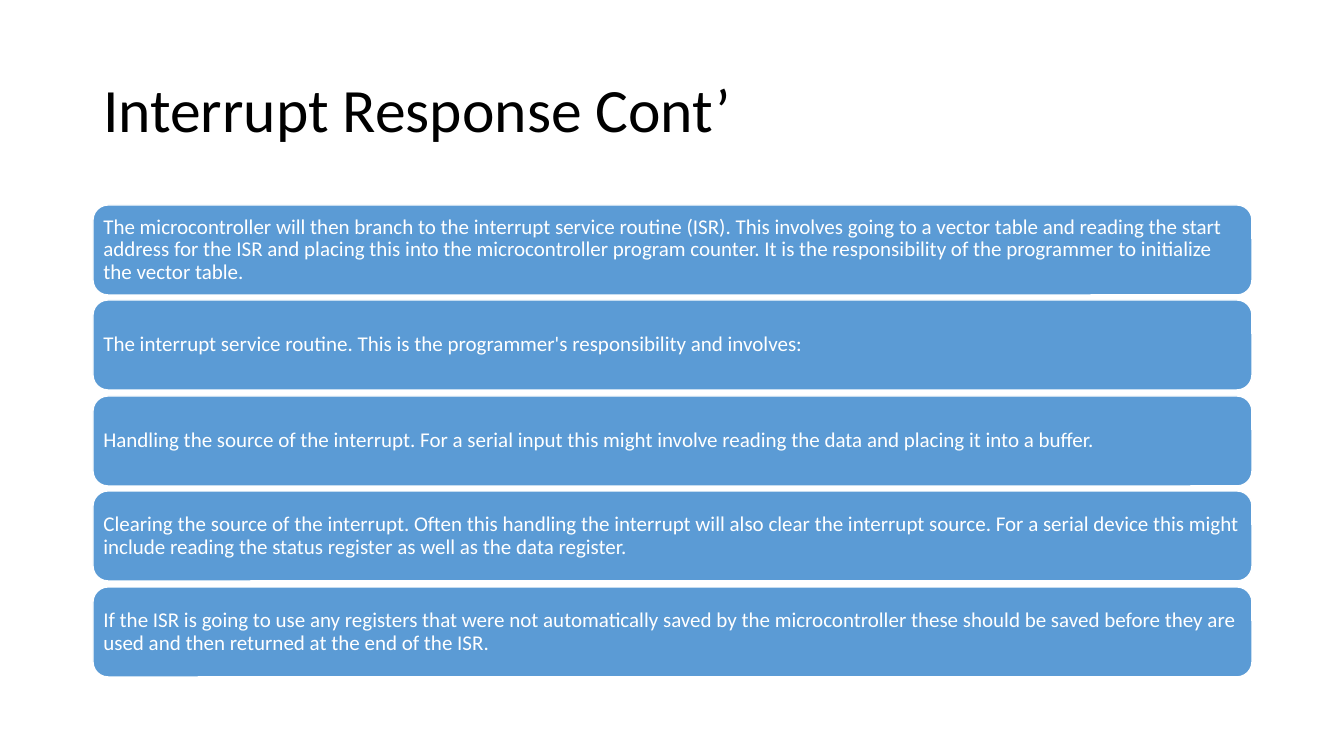
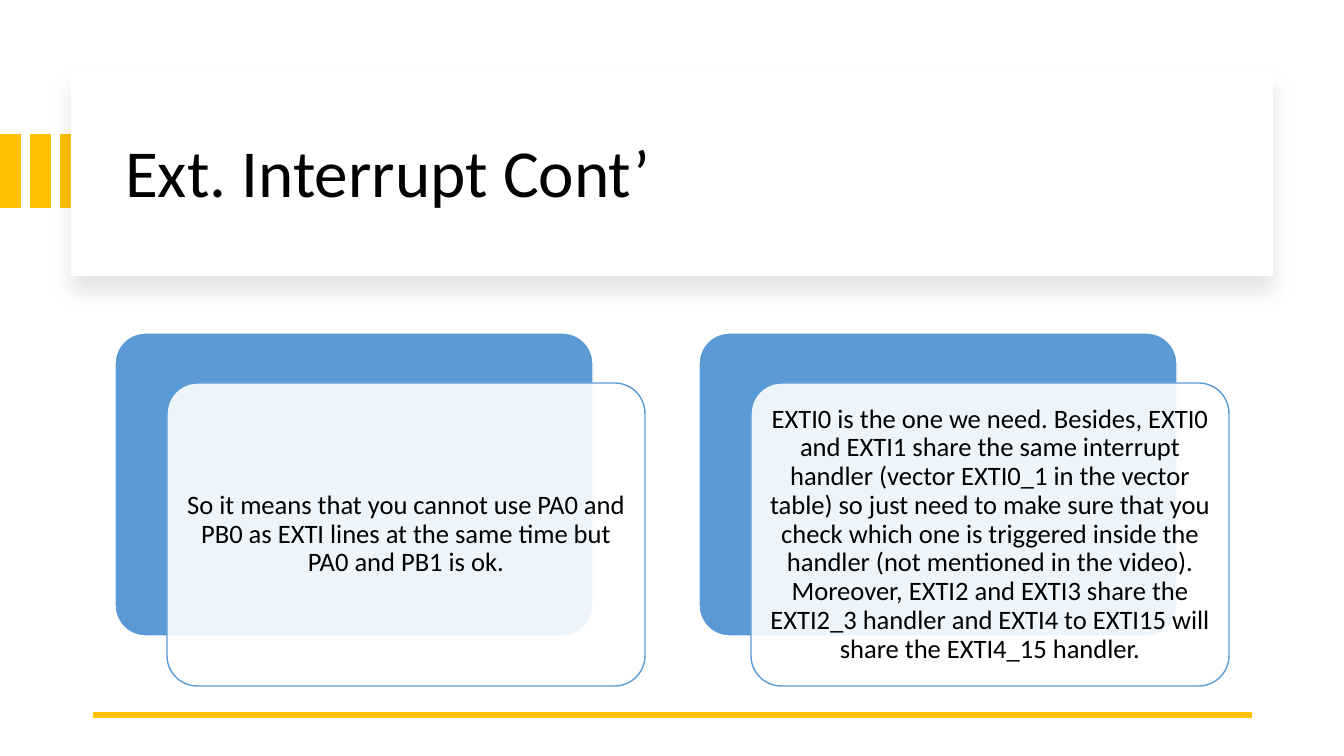
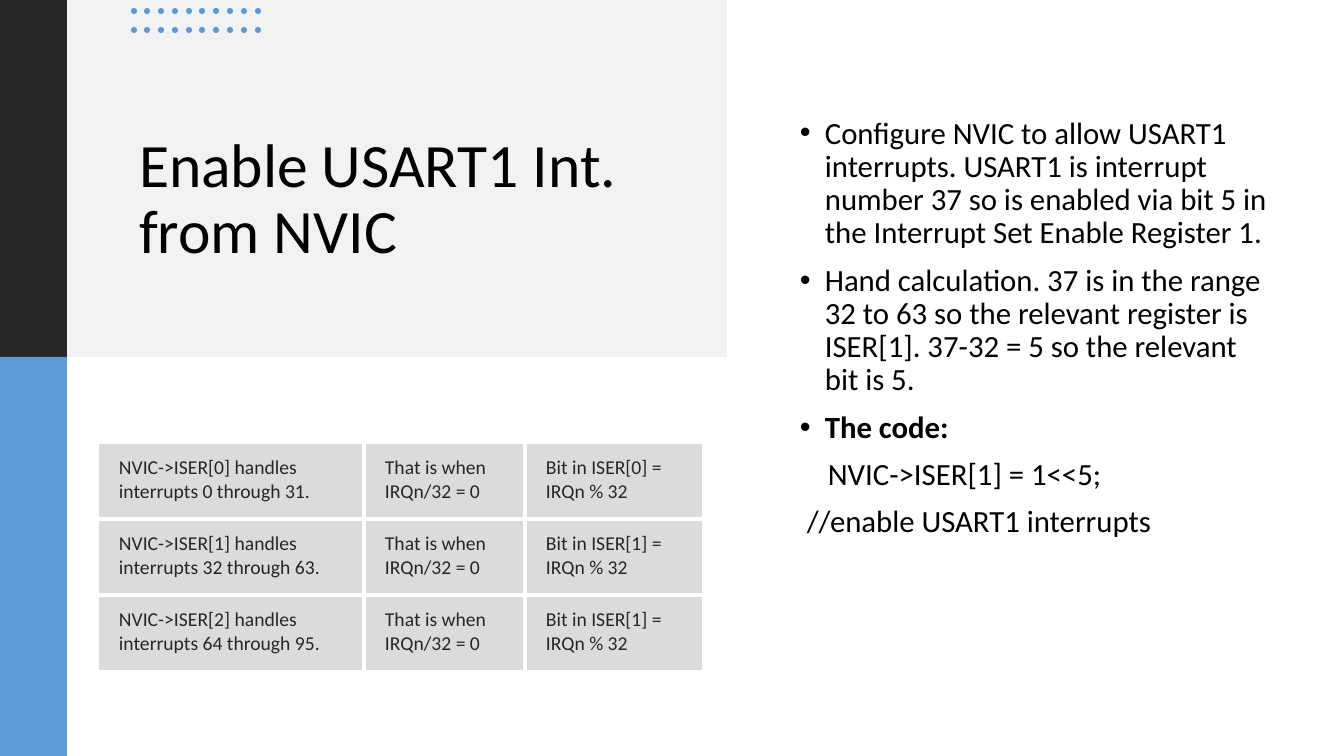
import lxml.etree
import pptx
import pptx.dml.color
import pptx.enum.shapes
import pptx.enum.text
import pptx.oxml
import pptx.oxml.ns
import pptx.util

RGB = pptx.dml.color.RGBColor
SHAPE = pptx.enum.shapes.MSO_SHAPE
ALIGN = pptx.enum.text.PP_ALIGN
ANCHOR = pptx.enum.text.MSO_ANCHOR
qn = pptx.oxml.ns.qn

BLACK = RGB(0x00, 0x00, 0x00)
WHITE = RGB(0xFF, 0xFF, 0xFF)
BLUE = RGB(0x5B, 0x9B, 0xD5)
GOLD = RGB(0xFF, 0xC0, 0x00)
CHARCOAL = RGB(0x26, 0x26, 0x26)
PALE = RGB(0xF2, 0xF2, 0xF2)
GREY = RGB(0x87, 0x8E, 0x8B)

FONT = "Calibri"
WIDTH, HEIGHT = 1344, 756
SCALE = 914400 / 100.8


def px(n):
    """Turn pixels into EMU."""
    return pptx.util.Emu(round(n * SCALE))


def sub(parent, tag, **attrs):
    """Append a child element with the given attributes."""
    child = lxml.etree.SubElement(parent, qn(tag))
    for name, value in attrs.items():
        child.set(name, str(value))
    return child


def set_fill(fill, holder, color, opacity=100):
    """Fill with one colour; holder is the element that contains the fill."""
    fill.solid()
    fill.fore_color.rgb = color
    if opacity < 100:
        clr = holder.find(qn("a:solidFill")).find(qn("a:srgbClr"))
        sub(clr, "a:alpha", val=opacity * 1000)


class Deck:
    """Holds the presentation, its style and the current slide."""

    def __init__(self):
        """Start an empty widescreen presentation."""
        self.prs = pptx.Presentation()
        self.prs.slide_width, self.prs.slide_height = px(WIDTH), px(HEIGHT)
        self.s = None

    def new_slide(self):
        """Add a title-only slide and make it current."""
        self.s = self.prs.slides.add_slide(self.prs.slide_layouts[5])

    def style(self, p, size, color=BLACK, align=ALIGN.LEFT, spacing=0.9, bold=False):
        """Format one paragraph."""
        p.alignment = align
        p.line_spacing = spacing
        p.font.name = FONT
        p.font.size = pptx.util.Pt(size)
        p.font.color.rgb = color
        p.font.bold = bold

    def frame(self, tf, inset=None):
        """Make a text frame wrap, centred vertically, with equal insets."""
        tf.word_wrap = True
        tf.auto_size = pptx.enum.text.MSO_AUTO_SIZE.NONE
        tf.vertical_anchor = ANCHOR.MIDDLE
        if inset is not None:
            tf.margin_left = tf.margin_right = px(inset)
            tf.margin_top = tf.margin_bottom = px(inset)

    def title(self, text, x, y, w, h, size=44):
        """Place the title above everything drawn so far."""
        sp = self.s.shapes.title
        sp.left, sp.top, sp.width, sp.height = map(px, (x, y, w, h))
        sp.element.getparent().append(sp.element)
        self.frame(sp.text_frame)
        sp.text_frame.text = text
        self.style(sp.text_frame.paragraphs[0], size)

    def shape(self, kind, x, y, w, h, color, line=None, opacity=100, corner=None):
        """Draw a filled preset shape without a shadow."""
        sp = self.s.shapes.add_shape(kind, *map(px, (x, y, w, h)))
        sp.shadow.inherit = False
        set_fill(sp.fill, sp.element.spPr, color, opacity)
        if line is None:
            sp.line.fill.background()
        else:
            sp.line.color.rgb = line
            sp.line.width = pptx.util.Pt(1)
        if corner is not None:
            sp.adjustments[0] = corner
        return sp

    def label(self, sp, text, size, inset, color, align=ALIGN.LEFT):
        """Write one paragraph inside a shape."""
        self.frame(sp.text_frame, inset)
        sp.text_frame.text = text
        self.style(sp.text_frame.paragraphs[0], size, color, align)

    def drop_shadow(self, sp, blur, distance, opacity):
        """Give a shape a soft shadow straight below; lengths in points."""
        effects = sp.element.spPr.find(qn("a:effectLst"))
        shadow = sub(effects, "a:outerShdw", blurRad=pptx.util.Pt(blur),
                     dist=pptx.util.Pt(distance), dir=90 * 60000,
                     algn="t", rotWithShape=0)
        clr = sub(shadow, "a:srgbClr", val=BLACK)
        sub(clr, "a:alpha", val=opacity * 1000)

    def rule(self, x1, x2, y, color, weight):
        """Draw a horizontal line."""
        line = self.s.shapes.add_connector(
            pptx.enum.shapes.MSO_CONNECTOR.STRAIGHT, px(x1), px(y), px(x2), px(y))
        line.line.color.rgb = color
        line.line.width = pptx.util.Pt(weight)
        sub(line.element.spPr, "a:effectLst")

    def body(self, x, y, w, h, items, size, bottom):
        """Write (text, bold, indent) items; an indent of None means a bullet."""
        tf = self.s.shapes.add_textbox(*map(px, (x, y, w, h))).text_frame
        self.frame(tf)
        tf.margin_bottom = px(bottom)
        for i, (text, bold, indent) in enumerate(items):
            p = tf.add_paragraph() if i else tf.paragraphs[0]
            p.text = text
            pPr = p._p.get_or_add_pPr()
            if indent is None:
                pPr.set("marL", str(px(25)))
                pPr.set("indent", str(-px(25)))
                sub(pPr, "a:buFont", typeface="Arial")
                sub(pPr, "a:buChar", char="•")
            else:
                pPr.set("marL", str(px(indent)))
            self.style(p, size, bold=bold)
            p.space_before = pptx.util.Pt(10)

    def table(self, x, y, widths, row_height, rows):
        """Add a table with translucent cells and white lines between them."""
        frame = self.s.shapes.add_table(
            len(rows), len(widths), px(x), px(y), px(sum(widths)),
            px(row_height * len(rows)))
        table = frame.table
        table.first_row = table.horz_banding = False
        for column, width in zip(table.columns, widths):
            column.width = px(width)
        for r, texts in enumerate(rows):
            table.rows[r].height = px(row_height)
            for c, text in enumerate(texts):
                inner = {"a:lnL": c > 0, "a:lnR": c < len(widths) - 1,
                         "a:lnT": r > 0, "a:lnB": r < len(rows) - 1}
                self.cell(table.cell(r, c), text,
                          [tag for tag, shown in inner.items() if shown])

    def cell(self, cell, text, edges):
        """Write and format one table cell."""
        cell.text = text
        cell.margin_left = px(21)
        cell.margin_right = cell.margin_top = cell.margin_bottom = px(13)
        self.style(cell.text_frame.paragraphs[0], 14, CHARCOAL, spacing=1.0)
        tcPr = cell._tc.get_or_add_tcPr()
        for tag in edges:
            border = sub(tcPr, tag, w=pptx.util.Pt(3))
            sub(sub(border, "a:solidFill"), "a:srgbClr", val=WHITE)
        set_fill(cell.fill, tcPr, GREY, 30)


def response_slide(deck):
    """Five stacked steps of the interrupt response."""
    steps = [
        "The microcontroller will then branch to the interrupt service routine (ISR). "
        "This involves going to a vector table and reading the start address for the "
        "ISR and placing this into the microcontroller program counter. It is the "
        "responsibility of the programmer to initialize the vector table.",
        "The interrupt service routine. This is the programmer's responsibility and "
        "involves:",
        "Handling the source of the interrupt. For a serial input this might involve "
        "reading the data and placing it into a buffer.",
        "Clearing the source of the interrupt. Often this handling the interrupt will "
        "also clear the interrupt source. For a serial device this might include "
        "reading the status register as well as the data register.",
        "If the ISR is going to use any registers that were not automatically saved by "
        "the microcontroller these should be saved before they are used and then "
        "returned at the end of the ISR.",
    ]
    deck.new_slide()
    deck.title("Interrupt Response Cont’", 93, 40, 1159, 146)
    for i, step in enumerate(steps):
        bar = deck.shape(SHAPE.ROUNDED_RECTANGLE, 93, 205 + i * 191 // 2, 1159, 90,
                         BLUE, WHITE)
        deck.label(bar, step, 15, 6, WHITE)


def external_slide(deck):
    """Two offset cards below a raised title panel."""
    cards = [
        "So it means that you cannot use PA0 and PB0 as EXTI lines at the same time "
        "but PA0 and PB1 is ok.",
        "EXTI0 is the one we need. Besides, EXTI0 and EXTI1 share the same interrupt "
        "handler (vector EXTI0_1 in the vector table) so just need to make sure that "
        "you check which one is triggered inside the handler (not mentioned in the "
        "video). Moreover, EXTI2 and EXTI3 share the EXTI2_3 handler and EXTI4 to "
        "EXTI15 will share the EXTI4_15 handler.",
    ]
    deck.new_slide()
    for i in range(3):
        deck.shape(SHAPE.RECTANGLE, i * 30, 134, 21, 74, GOLD)
    panel = deck.shape(SHAPE.RECTANGLE, 71, 68, 1202, 208, WHITE)
    deck.drop_shadow(panel, 15, 11, 10)
    deck.title("Ext. Interrupt Cont’", 115, 90, 1122, 171, 48)
    deck.rule(1252, 93, 715, GOLD, 4.5)
    for i, text in enumerate(cards):
        x = 115 + i * 584
        deck.shape(SHAPE.ROUNDED_RECTANGLE, x, 333, 478, 303, BLUE, WHITE, corner=0.1)
        card = deck.shape(SHAPE.ROUNDED_RECTANGLE, x + 52, 383, 478, 303, WHITE, BLUE,
                          opacity=90, corner=0.1)
        deck.label(card, text, 19, 8, BLACK, ALIGN.CENTER)


def nvic_slide(deck):
    """Register table beside the steps that enable the interrupt."""
    deck.new_slide()
    deck.shape(SHAPE.RECTANGLE, 0, 0, 727, 357, PALE)
    deck.title("Enable USART1 Int. from NVIC", 129, 73, 543, 255)
    deck.shape(SHAPE.RECTANGLE, 0, 0, 67, 357, CHARCOAL)
    deck.shape(SHAPE.RECTANGLE, 0, 357, 67, 399, BLUE)
    for column in range(10):
        for y in (8, 27):
            deck.shape(SHAPE.OVAL, 131 + column * 124 // 9, y, 6, 6, BLUE)
    deck.body(790, 57, 496, 657, [
        ("Configure NVIC to allow USART1 interrupts. USART1 is interrupt number 37 so "
         "is enabled via bit 5 in the Interrupt Set Enable Register 1.", False, None),
        ("Hand calculation. 37 is in the range 32 to 63 so the relevant register is "
         "ISER[1]. 37-32 = 5 so the relevant bit is 5.", False, None),
        ("The code:", True, None),
        ("NVIC->ISER[1] = 1<<5;", False, 28),
        ("//enable USART1 interrupts", False, 7),
    ], 22, 119)
    ranges = [(0, "0 through 31", 0), (1, "32 through 63", 1), (2, "64 through 95", 1)]
    deck.table(98, 443, (266, 161, 178), 76, [
        (f"NVIC->ISER[{register}] handles interrupts {span}.",
         "That is when IRQn/32 = 0",
         f"Bit in ISER[{bit}] = IRQn % 32")
        for register, span, bit in ranges])


deck = Deck()
response_slide(deck)
external_slide(deck)
nvic_slide(deck)
deck.prs.save("out.pptx")
